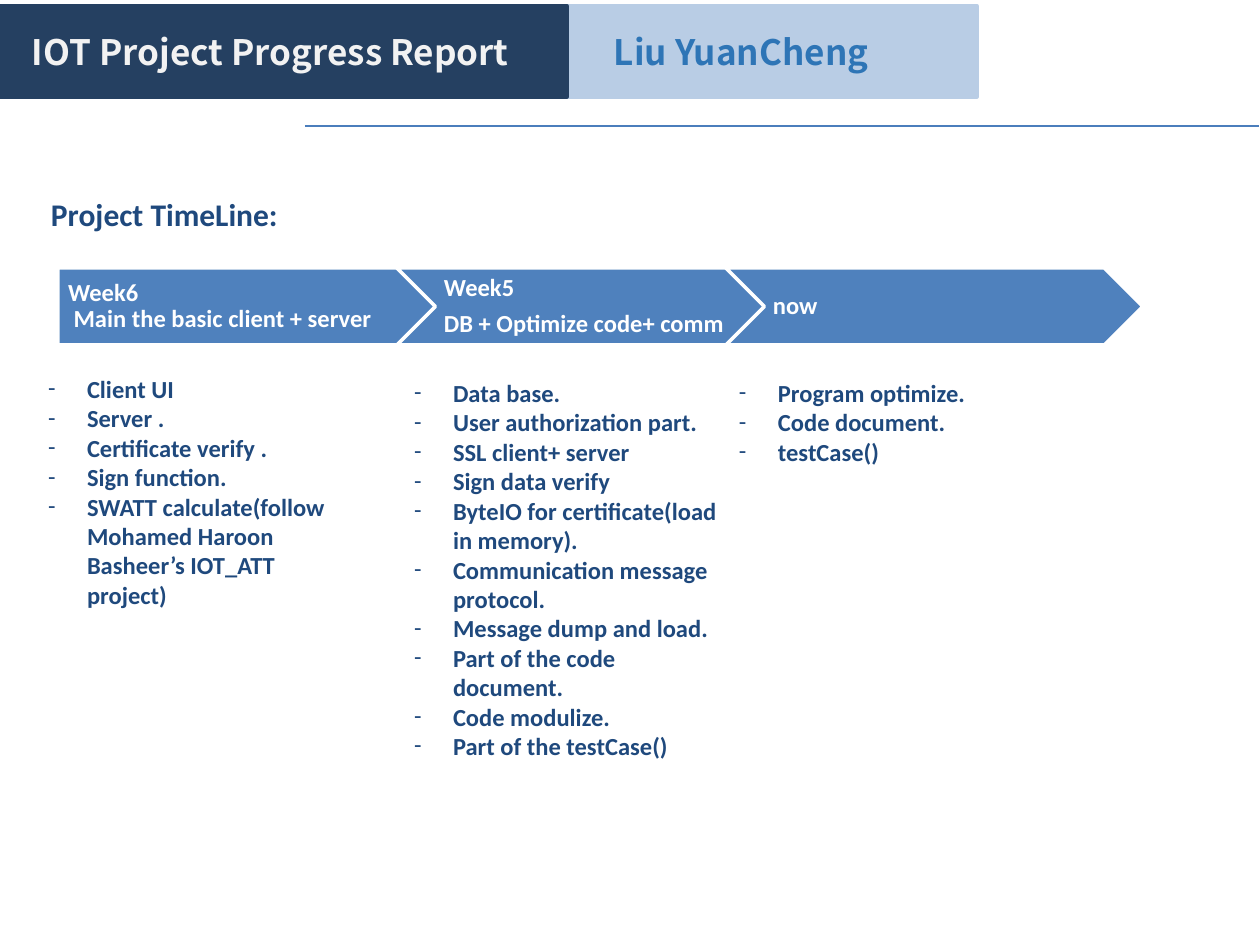
"""Build the IOT project progress slide with its three-step timeline."""
import copy
from dataclasses import dataclass

import lxml.etree
import pptx
import pptx.dml.color
import pptx.enum.shapes
import pptx.enum.text
import pptx.oxml.ns
import pptx.util


@dataclass(frozen=True)
class Theme:
    navy: str = "254061"
    pale: str = "B9CDE5"
    rule: str = "4B7EBC"
    arrow: str = "4F81BD"
    ink: str = "1F497D"
    author: str = "2E75B6"
    title: str = "F2F2F2"
    white: str = "FFFFFF"
    banner_font: str = "Noto Sans CJK SC"
    body_font: str = "Calibri"
    banner_size: int = 20
    heading_size: int = 18
    body_size: int = 14


theme = Theme()
rgb = pptx.dml.color.RGBColor.from_string
qn = pptx.oxml.ns.qn
shape_kinds = pptx.enum.shapes.MSO_SHAPE
anchors = pptx.enum.text.MSO_ANCHOR
fits = pptx.enum.text.MSO_AUTO_SIZE
EMU_PER_PX = 914400 / 126


def px(*lengths):
    return [pptx.util.Emu(round(length * EMU_PER_PX)) for length in lengths]


def write(box, text, *, size, color, font=theme.body_font, wrap=True, grow=True,
          anchor=anchors.TOP, insets=(13, 6, 13, 6), spacing=None, after=None, bullet=None):
    frame = box.text_frame
    frame.text = text
    frame.word_wrap = wrap
    frame.auto_size = fits.SHAPE_TO_FIT_TEXT if grow else fits.NONE
    frame.vertical_anchor = anchor
    frame.margin_left, frame.margin_top, frame.margin_right, frame.margin_bottom = px(*insets)
    for para in frame.paragraphs:
        para.alignment = pptx.enum.text.PP_ALIGN.LEFT
        para.line_spacing = spacing
        para.space_after = after
        for span in para.runs:
            span.font.name = font
            span.font.size = pptx.util.Pt(size)
            span.font.bold = True
            span.font.color.rgb = rgb(color)
    for line_break in box.element.iter(qn("a:br")):
        line_break.append(copy.deepcopy(line_break.getprevious().find(qn("a:rPr"))))
    if bullet:
        for properties in box.element.iter(qn("a:pPr")):
            indent = px(39)[0]
            properties.set("marL", str(indent))
            properties.set("indent", str(-indent))
            lxml.etree.SubElement(properties, qn("a:buFont")).set("typeface", font)
            lxml.etree.SubElement(properties, qn("a:buChar")).set("char", bullet)


deck = pptx.Presentation()
deck.slide_width, deck.slide_height = px(1260, 945)
page = deck.slides.add_slide(deck.slide_layouts[5])

for left, width, color in [(19, 958, theme.pale), (0, 567, theme.navy)]:
    band = page.shapes.add_shape(shape_kinds.RECTANGLE, *px(left, 6, width, 91))
    band.shadow.inherit = False
    band.fill.solid()
    band.fill.fore_color.rgb = rgb(color)
    band.line.color.rgb = rgb(color)
    band.line.width = pptx.util.Pt(2)

title = page.shapes.title
title.element.getparent().append(title.element)
title.left, title.top, title.width, title.height = px(19, 24, 553, 55)
write(title, "IOT Project Progress Report", size=theme.banner_size, color=theme.title,
      font=theme.banner_font)

author = page.shapes.add_textbox(*px(601, 24, 289, 55))
write(author, "Liu YuanCheng", size=theme.banner_size, color=theme.author,
      font=theme.banner_font, wrap=False)

rule = page.shapes.add_connector(pptx.enum.shapes.MSO_CONNECTOR.STRAIGHT,
                                 *px(305, 126, 1259, 126))
rule.line.color.rgb = rgb(theme.rule)
rule.line.width = pptx.util.Pt(1)
lxml.etree.SubElement(rule.element.spPr, qn("a:effectLst"))

heading = page.shapes.add_textbox(*px(38, 189, 331, 50))
write(heading, "Project TimeLine:", size=theme.heading_size, color=theme.ink)

timeline = page.shapes.add_group_shape()
steps = [
    (shape_kinds.PENTAGON, 58, 58, 398, 10, "Week6\v Main the basic client + server"),
    (shape_kinds.CHEVRON, 397, 436, 340, 8, "Week5\nDB + Optimize code+ comm"),
    (shape_kinds.CHEVRON, 726, 765, 340, 8, "now"),
]
for kind, left, label_left, label_width, inset, text in steps:
    arrow = timeline.shapes.add_shape(kind, *px(left, 268, 417, 77))
    arrow.shadow.inherit = False
    arrow.fill.solid()
    arrow.fill.fore_color.rgb = rgb(theme.arrow)
    arrow.line.color.rgb = rgb(theme.white)
    arrow.line.width = pptx.util.Pt(2)
    label = timeline.shapes.add_textbox(*px(label_left, 268, label_width, 77))
    write(label, text, size=theme.body_size, color=theme.white, grow=False,
          anchor=anchors.MIDDLE, insets=(inset, 5, 3, 5), spacing=0.9,
          after=pptx.util.Pt(5))

task_lists = [
    ((35, 368, 321, 251), [
        "Client UI",
        "Server .",
        "Certificate verify .",
        "Sign function.",
        "SWATT calculate(follow Mohamed Haroon Basheer’s IOT_ATT project)",
    ]),
    ((401, 372, 336, 437), [
        "Data base.",
        "User authorization part.",
        "SSL client+ server",
        "Sign data verify",
        "ByteIO for certificate(load in memory).",
        "Communication message protocol.",
        "Message dump and load.",
        "Part of the code document.",
        "Code modulize.",
        "Part of the testCase()",
    ]),
    ((726, 372, 305, 140), ["Program optimize.", "Code document.", "testCase()"]),
]
for bounds, tasks in task_lists:
    task_box = page.shapes.add_textbox(*px(*bounds))
    write(task_box, "\n".join(tasks), size=theme.body_size, color=theme.ink, bullet="-")

deck.save("out.pptx")
